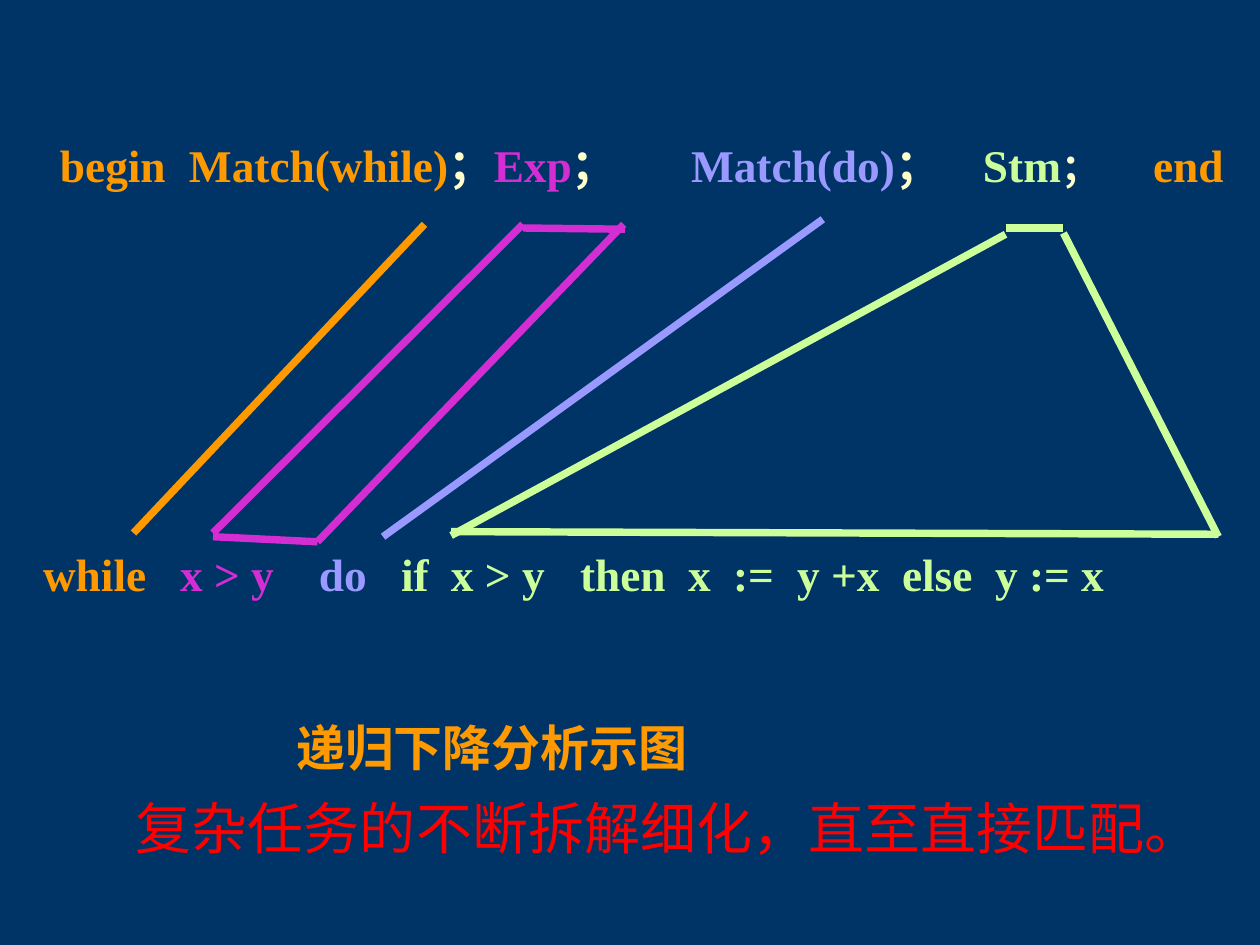
from typing import NamedTuple

from lxml.etree import SubElement
from pptx import Presentation
from pptx.dml.color import RGBColor
from pptx.enum.shapes import MSO_CONNECTOR
from pptx.enum.text import MSO_ANCHOR, MSO_AUTO_SIZE, PP_ALIGN
from pptx.oxml.ns import qn
from pptx.util import Pt

NAVY = RGBColor(0x00, 0x33, 0x66)
ORANGE = RGBColor(0xFF, 0x99, 0x00)
MAGENTA = RGBColor(0xD3, 0x2D, 0xD3)
VIOLET = RGBColor(0x99, 0x99, 0xFF)
LIME = RGBColor(0xCC, 0xFF, 0x99)
CREAM = RGBColor(0xFF, 0xFF, 0xCC)
RED = RGBColor(0xFF, 0x00, 0x00)

SERIF = "Times New Roman"
SANS = "Noto Sans CJK SC"
CODE_SIZE = 25.9


class Box(NamedTuple):
    left: float
    top: float
    width: float
    height: float


class Piece(NamedTuple):
    text: str
    color: RGBColor
    size: float = CODE_SIZE
    bold: bool = True
    font: str = SERIF


class TextLine(NamedTuple):
    box: Box
    pieces: list[Piece]
    tabs: tuple[float, ...] = ()
    inset: tuple[float, float] = (0.72, 0.72)


class Stroke(NamedTuple):
    x1: float
    y1: float
    x2: float
    y2: float
    color: RGBColor


PROCEDURE = TextLine(
    Box(33.6, 77.4, 680.6, 41.8),
    [
        Piece("begin\tMatch(while)", ORANGE),
        Piece("；", CREAM),
        Piece("Exp", MAGENTA),
        Piece("；\t", CREAM),
        Piece("Match(do)", VIOLET),
        Piece("；\t", CREAM),
        Piece("Stm", LIME),
        Piece("；\t", CREAM, 22.2),
        Piece("end", ORANGE),
    ],
    (73.7, 360.6, 527.4, 624.6),
)
STATEMENT = TextLine(
    Box(23.9, 311.4, 690, 34.6),
    [
        Piece("while\t", ORANGE),
        Piece("x > y\t", MAGENTA),
        Piece("do\t", VIOLET),
        Piece("if\tx > y\tthen\tx\t:=\ty +x\telse\ty := x", LIME),
    ],
    (78.3, 157.7, 204.6, 233.1, 306.9, 368.6, 394.3, 430.9, 490.9, 544),
)
CAPTION = TextLine(
    Box(162, 406.4, 250, 41),
    [Piece("递归下降分析示图", ORANGE, 28)],
    inset=(7.2, 3.6),
)
SUMMARY = TextLine(
    Box(70.6, 450, 640.8, 51.8),
    [Piece("复杂任务的不断拆解细化，直至直接匹配。", RED, 32, False, SANS)],
    inset=(7.2, 3.6),
)

STROKES = [
    Stroke(298.8, 128.2, 121.7, 304.6, MAGENTA),
    Stroke(298.8, 130.3, 357.1, 131, MAGENTA),
    Stroke(356.4, 128.2, 181.4, 309.6, MAGENTA),
    Stroke(121.7, 306.7, 181.4, 309.6, MAGENTA),
    Stroke(574.6, 133.9, 257.8, 306, LIME),
    Stroke(257.8, 303.8, 696.2, 305.3, LIME),
    Stroke(574.6, 130.3, 607.7, 130.3, LIME),
    Stroke(607.7, 133.2, 696.2, 306.7, LIME),
    Stroke(242.6, 128.2, 76.3, 304.6, ORANGE),
    Stroke(470.2, 125.3, 218.9, 306.7, VIOLET),
]


def write_line(sp, line: TextLine) -> None:
    for name, value in line.box._asdict().items():
        setattr(sp, name, Pt(value))
    tf = sp.text_frame
    dx, dy = line.inset
    frame_format = {
        "margin_left": Pt(dx),
        "margin_right": Pt(dx),
        "margin_top": Pt(dy),
        "margin_bottom": Pt(dy),
        "vertical_anchor": MSO_ANCHOR.TOP,
        "auto_size": MSO_AUTO_SIZE.NONE,
        "word_wrap": True,
    }
    for name, value in frame_format.items():
        setattr(tf, name, value)
    p = tf.paragraphs[0]
    p.alignment = PP_ALIGN.LEFT
    if line.tabs:
        tab_list = SubElement(p._p.get_or_add_pPr(), qn("a:tabLst"))
        for stop in line.tabs:
            SubElement(tab_list, qn("a:tab"), pos=str(int(Pt(stop))), algn="l")
    for piece in line.pieces:
        r = p.add_run()
        r.text = piece.text
        font_format = {"name": piece.font, "size": Pt(piece.size), "bold": piece.bold}
        for name, value in font_format.items():
            setattr(r.font, name, value)
        r.font.color.rgb = piece.color
        SubElement(r._r.get_or_add_rPr(), qn("a:ea"), typeface=SANS)


def draw_stroke(shapes, stroke: Stroke) -> None:
    ends = [Pt(v) for v in stroke[:4]]
    cxn = shapes.add_connector(MSO_CONNECTOR.STRAIGHT, *ends)
    cxn.line.color.rgb = stroke.color
    cxn.line.width = Pt(4.25)
    SubElement(cxn._element.spPr, qn("a:effectLst"))


def main() -> None:
    prs = Presentation()
    prs.slide_width, prs.slide_height = Pt(720), Pt(540)
    s = prs.slides.add_slide(prs.slide_layouts[5])
    s.background.fill.solid()
    s.background.fill.fore_color.rgb = NAVY
    write_line(s.shapes.title, CAPTION)
    for line in (PROCEDURE, STATEMENT, SUMMARY):
        write_line(s.shapes.add_textbox(0, 0, 0, 0), line)
    for stroke in STROKES:
        draw_stroke(s.shapes, stroke)
    prs.save("out.pptx")


if __name__ == "__main__":
    main()
